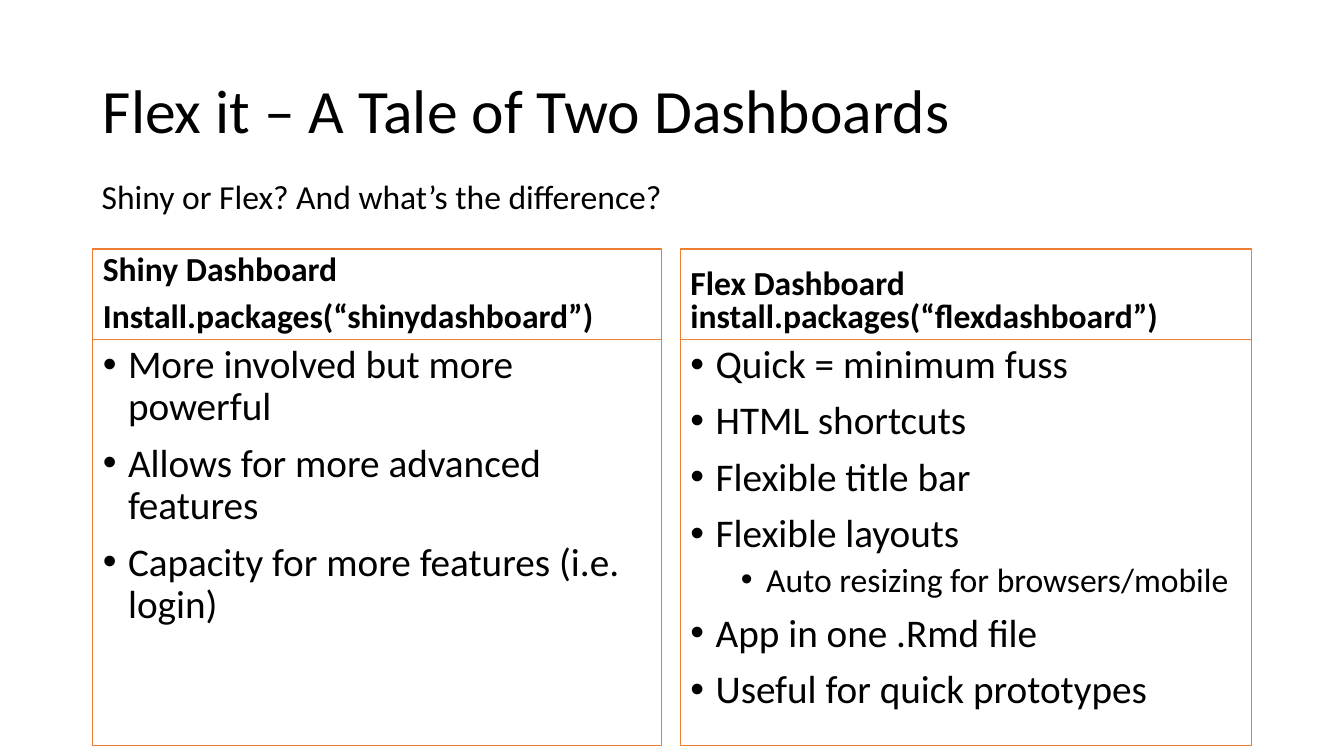
from dataclasses import dataclass

from lxml import etree
from pptx import Presentation
from pptx.dml.color import RGBColor
from pptx.enum import text
from pptx.oxml.ns import qn
from pptx.util import Length, Pt

COLOURS = {"text": "000000", "border": "ED7D31"}
FONT = "Calibri"
LEFT, CONTENT_WIDTH = 66.24, 828
HEADER_TOP, HEADER_HEIGHT = 177.84, 64.8
LIST_HEIGHT = 290.16
COMPARISON_LAYOUT = 4


@dataclass
class Item:
    words: str
    level: int = 0


@dataclass
class Column:
    left: float
    width: float
    header_index: int
    header: list[str]
    items: list[Item]


COLUMNS = [
    Column(LEFT, 406.08, 1,
           ["Shiny Dashboard", "Install.packages(“shinydashboard”)"],
           [Item("More involved but more powerful"),
            Item("Allows for more advanced features"),
            Item("Capacity for more features (i.e. login)")]),
    Column(486, 408.24, 3,
           ["Flex Dashboard install.packages(“flexdashboard”)"],
           [Item("Quick = minimum fuss"),
            Item("HTML shortcuts"),
            Item("Flexible title bar"),
            Item("Flexible layouts"),
            Item("Auto resizing for browsers/mobile", 1),
            Item("App in one .Rmd file"),
            Item("Useful for quick prototypes")]),
]


def colour(name: str) -> RGBColor:
    return RGBColor.from_string(COLOURS[name])


def place(box, left: float, top: float, width: float, height: float) -> None:
    box.left, box.top = Pt(left), Pt(top)
    box.width, box.height = Pt(width), Pt(height)


def prepare_frame(box, anchor: text.MSO_ANCHOR):
    frame = box.text_frame
    frame.auto_size = text.MSO_AUTO_SIZE.NONE
    frame.word_wrap = True
    frame.vertical_anchor = anchor
    return frame


def style(para, size: float, bold: bool = False, spacing: float = 1,
          before: float = 0) -> None:
    para.alignment = text.PP_ALIGN.LEFT
    para.line_spacing = spacing
    para.space_before = Pt(before)
    para.font.name = FONT
    para.font.size = Pt(size)
    para.font.bold = bold
    para.font.color.rgb = colour("text")


def add_bullet(para, level: int) -> None:
    para.level = level
    properties = para._p.get_or_add_pPr()
    indent: Length = Pt(18)
    properties.set("marL", str(Pt(18 + 36 * level)))
    properties.set("indent", str(-indent))
    etree.SubElement(properties, qn("a:buFont")).set("typeface", "Arial")
    etree.SubElement(properties, qn("a:buChar")).set("char", "•")


def outline(box) -> None:
    box.line.color.rgb = colour("border")
    box.line.width = Pt(0.75)


def next_para(frame, position: int):
    return frame.add_paragraph() if position else frame.paragraphs[0]


def draw_column(page, column: Column) -> None:
    header = page.placeholders[column.header_index]
    place(header, column.left, HEADER_TOP, column.width, HEADER_HEIGHT)
    outline(header)
    frame = prepare_frame(header, text.MSO_ANCHOR.BOTTOM)
    for position, words in enumerate(column.header):
        para = next_para(frame, position)
        para.text = words
        style(para, 24, bold=True, spacing=0.8, before=10 if position else 0)

    body = page.placeholders[column.header_index + 1]
    place(body, column.left, HEADER_TOP + HEADER_HEIGHT, column.width, LIST_HEIGHT)
    outline(body)
    frame = prepare_frame(body, text.MSO_ANCHOR.TOP)
    for position, item in enumerate(column.items):
        para = next_para(frame, position)
        para.text = item.words
        add_bullet(para, item.level)
        before = 5 if item.level else 10
        style(para, 24 if item.level else 28, spacing=0.9,
              before=before if position else 0)


def main() -> None:
    deck = Presentation()
    deck.slide_width, deck.slide_height = Pt(960), Pt(540)
    page = deck.slides.add_slide(deck.slide_layouts[COMPARISON_LAYOUT])

    title = page.shapes.title
    place(title, LEFT, 28.8, CONTENT_WIDTH, 104.4)
    para = prepare_frame(title, text.MSO_ANCHOR.MIDDLE).paragraphs[0]
    para.text = "Flex it – A Tale of Two Dashboards"
    style(para, 44, spacing=0.9)

    for column in COLUMNS:
        draw_column(page, column)

    subtitle = page.shapes.add_textbox(Pt(65.52), Pt(122.4), Pt(CONTENT_WIDTH), Pt(36))
    para = prepare_frame(subtitle, text.MSO_ANCHOR.TOP).paragraphs[0]
    para.text = "Shiny or Flex? And what’s the difference?"
    style(para, 24)

    deck.save("out.pptx")


if __name__ == "__main__":
    main()
